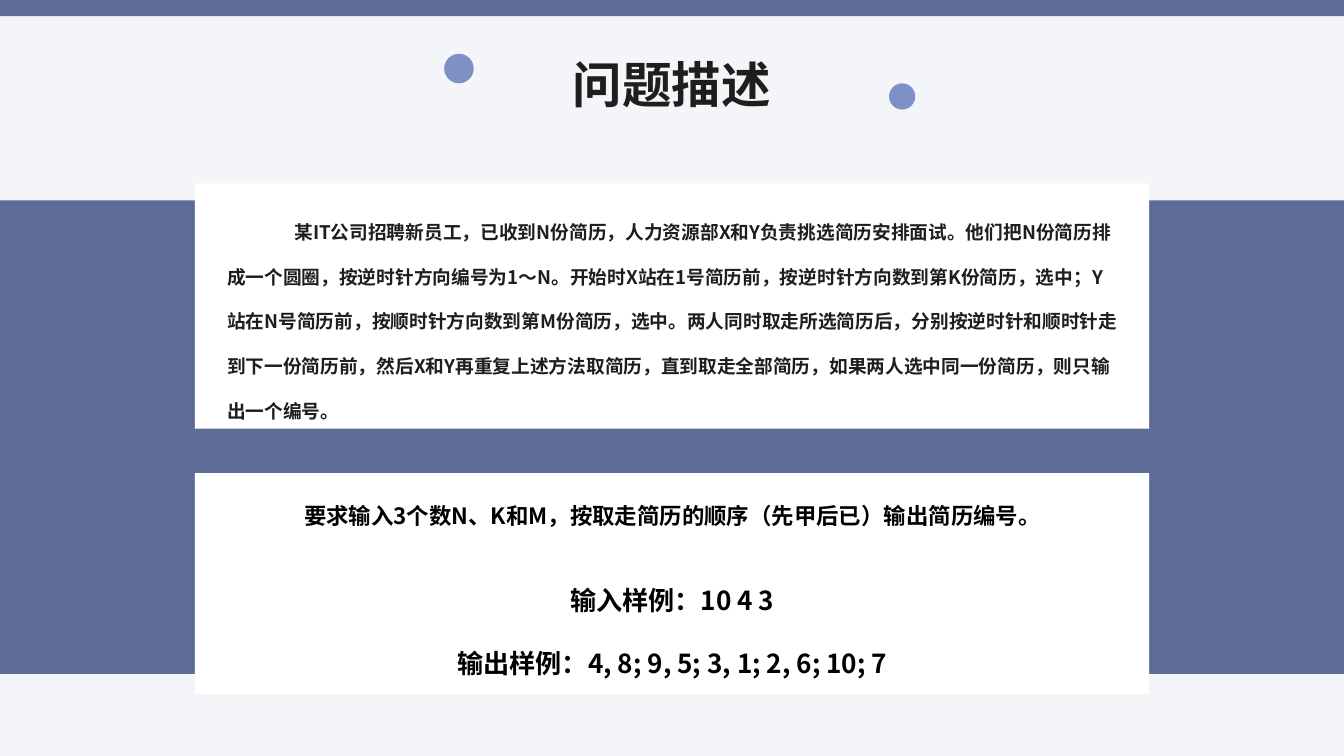
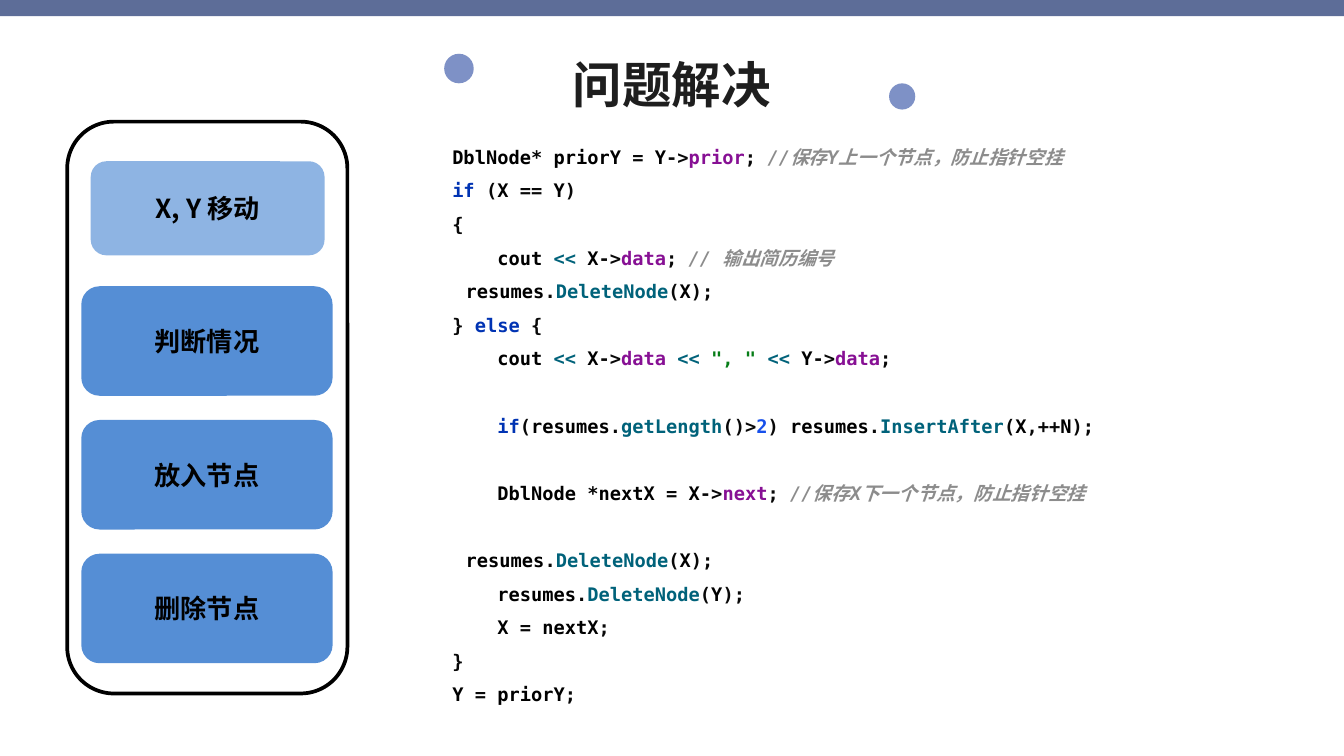
import pptx
import pptx.dml.color
import pptx.enum.shapes
import pptx.enum.text
import pptx.oxml
import pptx.oxml.ns
import pptx.util

COLORS = {
    "band": "5D6D98", "dot": "7E91C6", "paper": "F3F5F8", "white": "FFFFFF",
    "title": "1E1E1E", "black": "000000", "step": "558ED5", "active step": "8EB4E3",
    "sign": "080808", "member": "871094", "call": "00627A", "keyword": "0033B3",
    "string": "067D17", "number": "1750EB", "comment": "8C8C8C",
}
COLORS = {name: pptx.dml.color.RGBColor.from_string(value) for name, value in COLORS.items()}
TEXT_FONT, CODE_FONT, COMMENT_FONT = "Noto Sans CJK SC", "DejaVu Sans Mono", "Courier New"
SHAPE = pptx.enum.shapes.MSO_SHAPE
ALIGN = pptx.enum.text.PP_ALIGN
ANCHOR = pptx.enum.text.MSO_ANCHOR

presentation = pptx.Presentation()
presentation.slide_width = pptx.util.Inches(20)
presentation.slide_height = pptx.util.Inches(11.25)
COLUMN = presentation.slide_width / 20
ROW = presentation.slide_height / 11.25


def grid(left, top, width, height):
    """Turn columns and rows into slide lengths."""
    return [pptx.util.Emu(round(length * unit))
            for length, unit in zip((left, top, width, height), (COLUMN, ROW) * 2)]


def format_paragraph(paragraph, size, color, align=ALIGN.CENTER, spacing=None, name=TEXT_FONT):
    paragraph.alignment = align
    paragraph.space_before = pptx.util.Pt(0)
    if spacing:
        paragraph.line_spacing = pptx.util.Pt(spacing)
    font = paragraph.font
    font.size, font.bold, font.name = pptx.util.Pt(size), True, name
    font.color.rgb = COLORS[color]
    properties = paragraph._p.get_or_add_pPr().find(pptx.oxml.ns.qn("a:defRPr"))
    east_asian = pptx.oxml.parse_xml(
        f'<a:ea {pptx.oxml.ns.nsdecls("a")} typeface="{TEXT_FONT}"/>')
    properties.find(pptx.oxml.ns.qn("a:latin")).addnext(east_asian)


# Slides with their backgrounds and titles
slides = []
for title, layout, background in [("问题描述", 5, "paper"), ("问题解决", 1, "white")]:
    slide = presentation.slides.add_slide(presentation.slide_layouts[layout])
    slide.background.fill.solid()
    slide.background.fill.fore_color.rgb = COLORS[background]
    shape = slide.shapes.title
    shape.left, shape.top, shape.width, shape.height = grid(6.44, 0.8, 7.12, 0.88)
    frame = shape.text_frame
    frame.text = title
    frame.auto_size = pptx.enum.text.MSO_AUTO_SIZE.NONE
    frame.vertical_anchor = ANCHOR.TOP
    frame.margin_left = frame.margin_top = frame.margin_right = frame.margin_bottom = 0
    format_paragraph(frame.paragraphs[0], 53, "title", spacing=63.5)
    slides.append(slide)
problem, solution = slides

# Top band and dots on both slides, then panels and steps
blocks = []
for slide in slides:
    blocks += [
        (slide, SHAPE.RECTANGLE, (0, 0, 20, 0.24), "band", ""),
        (slide, SHAPE.OVAL, (6.61, 0.8, 0.44, 0.44), "dot", ""),
        (slide, SHAPE.OVAL, (13.23, 1.24, 0.39, 0.39), "dot", ""),
    ]
blocks += [
    (problem, SHAPE.RECTANGLE, (0, 2.98, 20, 7.05), "band", ""),
    (problem, SHAPE.RECTANGLE, (2.9, 2.73, 14.2, 3.65), "white", ""),
    (problem, SHAPE.RECTANGLE, (2.9, 7.04, 14.2, 3.29), "white", ""),
    (solution, SHAPE.ROUNDED_RECTANGLE, (1, 1.81, 4.17, 8.51), None, ""),
    (solution, SHAPE.ROUNDED_RECTANGLE, (1.35, 2.4, 3.48, 1.4), "active step", "X, Y 移动"),
]
for index, step in enumerate(["判断情况", "放入节点", "删除节点"]):
    area = (1.21, 4.26 + 1.99 * index, 3.74, 1.63)
    blocks.append((solution, SHAPE.ROUNDED_RECTANGLE, area, "step", step))

for slide, kind, area, fill, label in blocks:
    shape = slide.shapes.add_shape(kind, *grid(*area))
    shape.shadow.inherit = False
    if fill:
        shape.fill.solid()
        shape.fill.fore_color.rgb = COLORS[fill]
        shape.line.fill.background()
    else:
        shape.fill.background()
        shape.line.color.rgb = COLORS["black"]
        shape.line.width = pptx.util.Pt(4)
    if label:
        shape.text_frame.text = label
        shape.text_frame.vertical_anchor = ANCHOR.MIDDLE
        format_paragraph(shape.text_frame.paragraphs[0], 28, "black")

# Problem statement, task and samples
description = (
    "某IT公司招聘新员工，已收到N份简历，人力资源部X和Y负责挑选简历安排面试。"
    "他们把N份简历排成一个圆圈，按逆时针方向编号为1～N。"
    "开始时X站在1号简历前，按逆时针方向数到第K份简历，选中；"
    "Y站在N号简历前，按顺时针方向数到第M份简历，选中。"
    "两人同时取走所选简历后，分别按逆时针和顺时针走到下一份简历前，"
    "然后X和Y再重复上述方法取简历，直到取走全部简历，"
    "如果两人选中同一份简历，则只输出一个编号。"
)
task = "要求输入3个数N、K和M，按取走简历的顺序（先甲后已）输出简历编号。"
samples = "输入样例：10 4 3\n输出样例：4, 8; 9, 5; 3, 1; 2, 6; 10; 7"
for text, top, height, size, color, align, spacing, indent in [
    (description, 2.95, 3.26, 20, "title", ALIGN.LEFT, 48, 1),
    (task, 7.27, 0.56, 24, "black", ALIGN.CENTER, 43.7, 0),
    (samples, 8.22, 1.74, 28, "black", ALIGN.CENTER, 67.5, 0),
]:
    frame = problem.shapes.add_textbox(*grid(3.38, top, 13.25, height)).text_frame
    frame.word_wrap = True
    frame.margin_left = frame.margin_top = frame.margin_right = frame.margin_bottom = 0
    frame.text = text
    for paragraph in frame.paragraphs:
        format_paragraph(paragraph, size, color, align, spacing)
        paragraph._p.get_or_add_pPr().set("indent", str(round(indent * COLUMN)))

# Code: indent in columns, empty lines above, tokens split by bars
code = [
    (0, 0, "DblNode|* |priorY |= |Y|->|prior|; |//|保存|Y|上一个节点，防止指针空挂"),
    (0, 0, "if |(|X |== |Y|)"),
    (0, 0, "{"),
    (0.67, 0, "cout |<< |X|->|data|; |// |输出简历编号"),
    (0.2, 0, "resumes|.|DeleteNode|(|X|);"),
    (0, 0, "} |else |{"),
    (0.67, 0, 'cout |<< |X|->|data |<< |", " |<< |Y|->|data|;'),
    (0.67, 1, "if|(|resumes|.|getLength|()>|2|) |resumes|.|InsertAfter|(|X|,++|N|);"),
    (0.67, 1, "DblNode |*|nextX |= |X|->|next|; |//|保存|X|下一个节点，防止指针空挂"),
    (0.2, 1, "resumes|.|DeleteNode|(|X|);"),
    (0.67, 0, "resumes|.|DeleteNode|(|Y|);"),
    (0.67, 0, "X |= |nextX|;"),
    (0, 0, "}"),
    (0, 0, "Y |= |priorY|;"),
]
token_kinds = {
    "if": "keyword", "else": "keyword", "prior": "member", "next": "member", "data": "member",
    "<<": "call", "DeleteNode": "call", "getLength": "call", "InsertAfter": "call",
    '", "': "string", "2": "number",
}
LINE_HEIGHT = 36
body = solution.placeholders[1]
body.left, body.top, body.width, body.height = grid(6.63, 1.94, 9.98, 8.62)
frame = body.text_frame
frame.auto_size = pptx.enum.text.MSO_AUTO_SIZE.NONE
frame.vertical_anchor = ANCHOR.MIDDLE
for number, (indent, empty_lines, line) in enumerate(code):
    paragraph = frame.add_paragraph() if number else frame.paragraphs[0]
    format_paragraph(paragraph, 20, "black", ALIGN.LEFT, LINE_HEIGHT, CODE_FONT)
    paragraph.space_before = pptx.util.Pt(LINE_HEIGHT * empty_lines)
    properties = paragraph._p.get_or_add_pPr()
    properties.set("marL", str(round(indent * COLUMN)))
    properties.set("indent", "0")
    no_bullet = pptx.oxml.parse_xml(f'<a:buNone {pptx.oxml.ns.nsdecls("a")}/>')
    properties.find(pptx.oxml.ns.qn("a:defRPr")).addprevious(no_bullet)
    in_comment = False
    for token in line.split("|"):
        in_comment = in_comment or token.startswith("//")
        word = token.strip()
        default = "black" if word.isalnum() else "sign"
        kind = "comment" if in_comment else token_kinds.get(word, default)
        run = paragraph.add_run()
        run.text = token
        run.font.color.rgb = COLORS[kind]
        if in_comment:
            run.font.italic = True
            run.font.name = CODE_FONT if token.isascii() else COMMENT_FONT

presentation.save("out.pptx")
